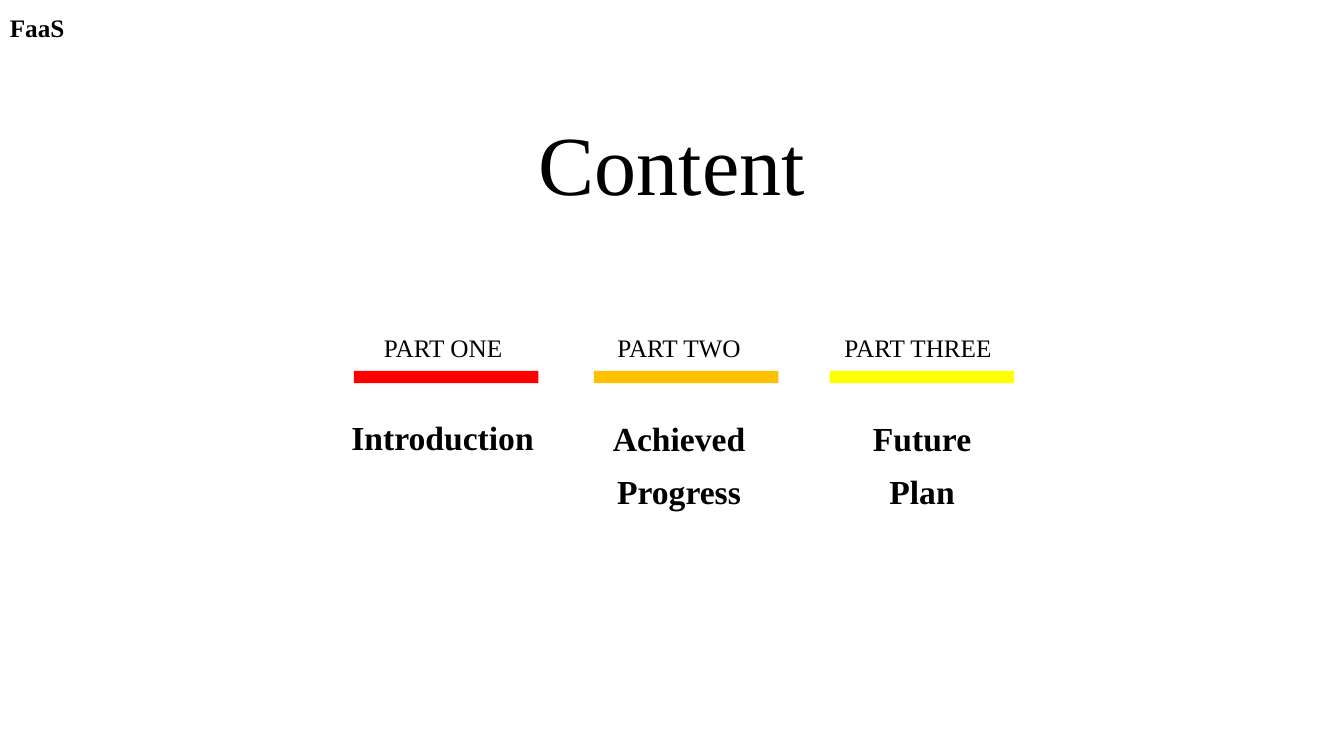
from dataclasses import dataclass

from pptx import Presentation
from pptx.dml.color import RGBColor
from pptx.enum.shapes import MSO_SHAPE
from pptx.enum.text import PP_ALIGN
from pptx.util import Emu, Pt

RECT = MSO_SHAPE.RECTANGLE
LEFT, CENTER = PP_ALIGN.LEFT, PP_ALIGN.CENTER
EMU_PER_PX = 9144
FONT = "Times New Roman"
COLORS = {
    "text": "000000",
    "red": "FF0000",
    "orange": "FFC000",
    "yellow": "FFFF00",
}
LABEL_TOP, LABEL_HEIGHT = 316, 49
BAR_TOP, BAR_WIDTH, BAR_HEIGHT = 368, 183, 12


@dataclass(frozen=True)
class Box:
    left: int
    top: int
    width: int
    height: int

    def emu(self) -> list[Emu]:
        lengths = (self.left, self.top, self.width, self.height)
        return [px(n) for n in lengths]


@dataclass(frozen=True)
class Part:
    label: str
    label_left: int
    label_width: int
    bar_left: int
    color: str
    title: tuple[str, ...]
    title_box: Box


PARTS = [
    Part("PART ONE", 358, 163, 351, "red",
         ("Introduction",), Box(309, 397, 260, 57)),
    Part("PART TWO", 585, 177, 589, "orange",
         ("Achieved", "Progress"), Box(576, 398, 195, 110)),
    Part("PART THREE", 815, 191, 823, "yellow",
         ("Future", "Plan"), Box(805, 398, 219, 110)),
]


def px(n: int) -> Emu:
    return Emu(n * EMU_PER_PX)


def add_text(slide, box: Box, lines: tuple[str, ...], size: int,
             bold: bool = False, align: PP_ALIGN = CENTER,
             spacing: float = 1.0) -> None:
    tf = slide.shapes.add_textbox(*box.emu()).text_frame
    tf.word_wrap = True
    tf.text = "\n".join(lines)
    for p in tf.paragraphs:
        p.alignment = align
        p.line_spacing = spacing
        p.font.name = FONT
        p.font.size = Pt(size)
        p.font.bold = bold
        p.font.color.rgb = RGBColor.from_string(COLORS["text"])


def add_bar(slide, box: Box, color: str) -> None:
    sp = slide.shapes.add_shape(RECT, *box.emu())
    sp.shadow.inherit = False
    sp.fill.solid()
    sp.fill.fore_color.rgb = RGBColor.from_string(COLORS[color])
    sp.line.fill.background()


def add_part(slide, part: Part) -> None:
    label_box = Box(part.label_left, LABEL_TOP, part.label_width, LABEL_HEIGHT)
    add_text(slide, label_box, (part.label,), 18, spacing=1.3)
    add_text(slide, part.title_box, part.title, 24, bold=True, spacing=1.3)
    add_bar(slide, Box(part.bar_left, BAR_TOP, BAR_WIDTH, BAR_HEIGHT), part.color)


def main() -> None:
    prs = Presentation()
    prs.slide_width, prs.slide_height = px(1333), px(750)
    slide = prs.slides.add_slide(prs.slide_layouts[6])
    add_text(slide, Box(508, 106, 317, 111), ("Content",), 60)
    for part in PARTS:
        add_part(slide, part)
    add_text(slide, Box(0, 7, 80, 40), ("FaaS",), 18, bold=True, align=LEFT)
    prs.save("out.pptx")


if __name__ == "__main__":
    main()
